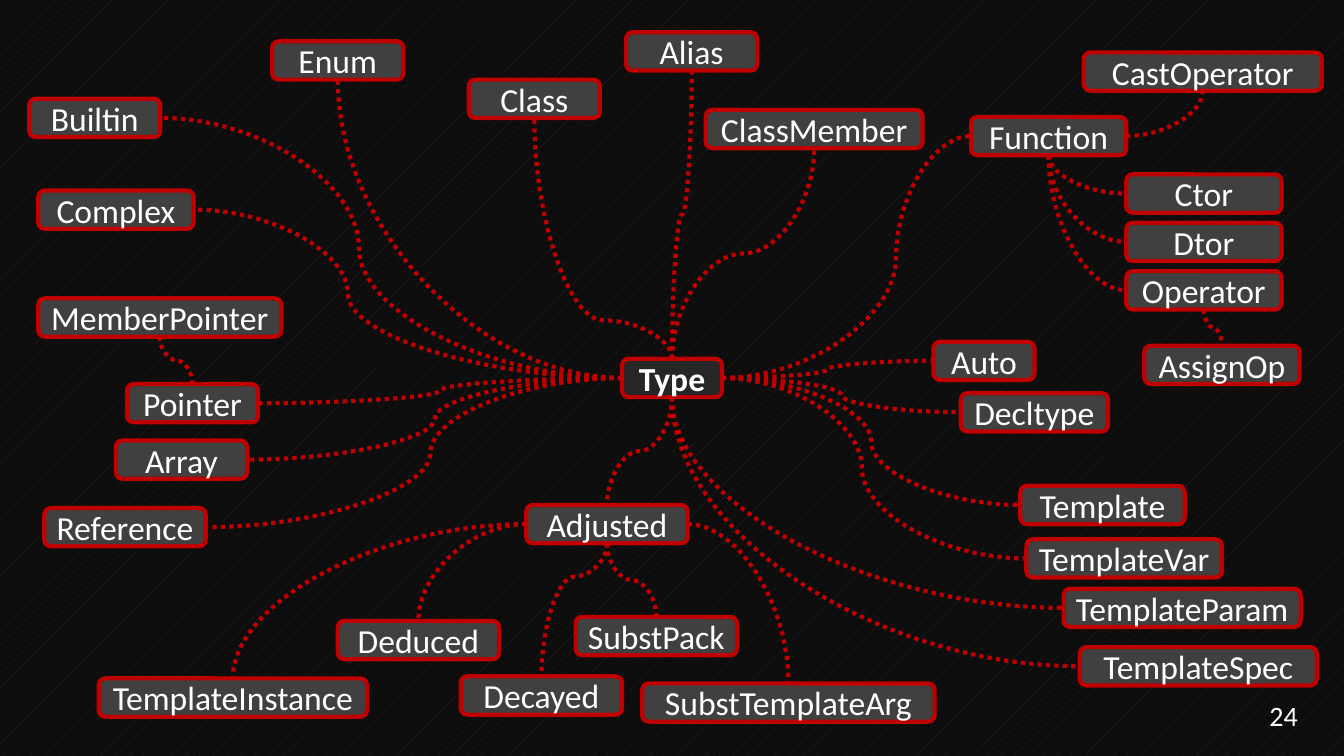
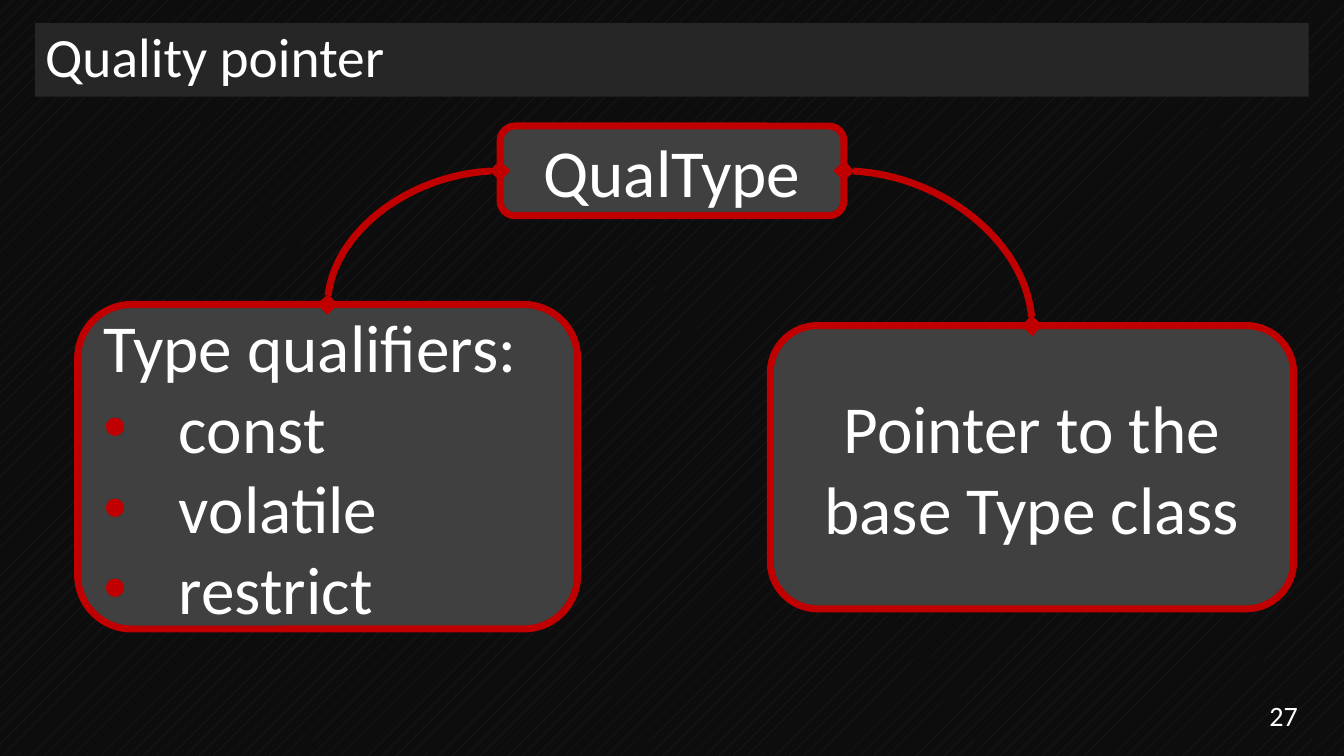
from dataclasses import dataclass

from lxml import etree
from pptx import Presentation
from pptx import util as u
from pptx.dml.color import RGBColor
from pptx.enum import dml, shapes, text
from pptx.oxml import ns


@dataclass(frozen=True)
class Theme:
    font: str = "Calibri"
    white: str = "FFFFFF"
    red: str = "C00000"
    dark: str = "262626"
    gray: str = "404040"
    black: str = "0D0D0D"
    title_size: float = 39.6
    number_size: float = 20
    node_size: float = 24
    card_size: float = 48
    node_line: float = 3
    card_line: float = 5


@dataclass(frozen=True)
class Box:
    left: float
    top: float
    width: float
    height: float

    def inner(self, left, top, width, height):
        """A box given relative to this one."""
        return Box(self.left + left, self.top + top, width, height)

    def lengths(self):
        return [u.Inches(n) for n in (self.left, self.top, self.width, self.height)]


THEME = Theme()
SLIDE = Box(0, 0, 13.33, 7.5)
LEFT, CENTER, RIGHT = (text.PP_ALIGN.LEFT, text.PP_ALIGN.CENTER,
                       text.PP_ALIGN.RIGHT)

# Connection sites of a rectangle; the odd ones face sideways
TOP, WEST, BOTTOM, EAST = range(4)

# Type map: name -> left, top, width
NODE_HEIGHT = 0.38
NODES = {
    "Type": (6.17, 3.56, 0.99),
    "Builtin": (0.29, 0.98, 1.3),
    "Complex": (0.38, 1.89, 1.54),
    "Pointer": (1.26, 3.81, 1.3),
    "MemberPointer": (0.38, 2.96, 2.41),
    "Array": (1.15, 4.37, 1.3),
    "Adjusted": (5.22, 5.01, 1.6),
    "TemplateInstance": (0.98, 6.73, 2.66),
    "Deduced": (3.35, 6.16, 1.6),
    "Decayed": (4.57, 6.71, 1.6),
    "SubstPack": (5.71, 6.12, 1.6),
    "SubstTemplateArg": (6.37, 6.78, 2.9),
    "Enum": (2.7, 0.41, 1.3),
    "Class": (4.65, 0.79, 1.3),
    "Alias": (6.21, 0.32, 1.3),
    "ClassMember": (7, 1.09, 2.15),
    "Function": (9.63, 1.16, 1.54),
    "Ctor": (11.17, 1.73, 1.54),
    "Dtor": (11.17, 2.21, 1.54),
    "Operator": (11.17, 2.69, 1.54),
    "AssignOp": (11.35, 3.43, 1.54),
    "CastOperator": (10.75, 0.52, 2.36),
    "Auto": (9.26, 3.39, 1),
    "Decltype": (9.53, 3.9, 1.46),
    "Template": (10.12, 4.82, 1.63),
    "TemplateVar": (10.18, 5.35, 1.94),
    "TemplateSpec": (10.71, 6.42, 2.35),
    "TemplateParam": (10.55, 5.84, 2.35),
    "Reference": (0.44, 5.04, 1.6),
}

# Parent, its side, side of the children, children with the place of the bend
LINKS = [
    ("Type", WEST, EAST, {"Builtin": 0.57, "Complex": 0.64, "Pointer": 0.5,
                          "Array": 0.5, "Reference": 0.46}),
    ("Type", WEST, BOTTOM, {"Enum": 0.5}),
    ("Type", TOP, BOTTOM, {"Class": 0.16, "Alias": 0.5, "ClassMember": 0.5}),
    ("Type", EAST, WEST, {"Function": 0.7, "Auto": 0.5, "Decltype": 0.5,
                          "Template": 0.5, "TemplateVar": 0.46}),
    ("Type", BOTTOM, TOP, {"Adjusted": 0.5}),
    ("Type", BOTTOM, WEST, {"TemplateSpec": 0.5, "TemplateParam": 0.5}),
    ("MemberPointer", BOTTOM, TOP, {"Pointer": 0.5}),
    ("Adjusted", WEST, TOP, {"TemplateInstance": 0.5, "Deduced": 0.5}),
    ("Adjusted", BOTTOM, TOP, {"Decayed": 0.25, "SubstPack": 0.5}),
    ("Adjusted", EAST, TOP, {"SubstTemplateArg": 0.5}),
    ("Function", BOTTOM, WEST, {"Ctor": 0.5, "Dtor": 0.5, "Operator": 0.5}),
    ("Function", EAST, BOTTOM, {"CastOperator": 0.5}),
    ("Operator", BOTTOM, TOP, {"AssignOp": 0.5}),
]


def color(value):
    return RGBColor.from_string(value)


def write(para, words, size, align=LEFT, bold=False):
    para.alignment = align
    span = para.add_run()
    span.text = words
    font = span.font
    font.name, font.size, font.bold = THEME.font, u.Pt(size), bold
    font.color.rgb = color(THEME.white)


def add_bullet(para, indent):
    props = para._p.get_or_add_pPr()
    props.set("marL", str(u.Inches(indent)))
    props.set("indent", str(-u.Inches(indent)))
    tint = etree.SubElement(props, ns.qn("a:buClr"))
    etree.SubElement(tint, ns.qn("a:srgbClr"), val=THEME.red)
    etree.SubElement(props, ns.qn("a:buFont"), typeface="Arial")
    etree.SubElement(props, ns.qn("a:buChar"), char="•")


def add_panel(page, box, kind, fill, line=None, wrap=True):
    """A filled shape, ready for text in its middle."""
    panel = page.shapes.add_shape(kind, *box.lengths())
    panel.shadow.inherit = False
    panel.fill.solid()
    panel.fill.fore_color.rgb = color(fill)
    if line:
        panel.line.color.rgb = color(THEME.red)
        panel.line.width = u.Pt(line)
    else:
        panel.line.fill.background()
    panel.text_frame.word_wrap = wrap
    panel.text_frame.vertical_anchor = text.MSO_ANCHOR.MIDDLE
    return panel


def add_card(page, box, line, fill=THEME.gray, wrap=True):
    kind = shapes.MSO_SHAPE.ROUNDED_RECTANGLE
    return add_panel(page, box, kind, fill, line, wrap)


def site_point(shape, site):
    across = {WEST: 0, EAST: 1}.get(site, 0.5)
    down = {TOP: 0, BOTTOM: 1}.get(site, 0.5)
    return shape.left + shape.width * across, shape.top + shape.height * down


def add_curve(page, start, start_site, end, end_site, width, bend=0.5):
    """A curved connector glued to two shapes."""
    curve = page.shapes.add_connector(shapes.MSO_CONNECTOR.CURVE, 0, 0, 0, 0)
    curve.begin_connect(start, start_site)
    curve.end_connect(end, end_site)
    x1, y1 = site_point(start, start_site)
    x2, y2 = site_point(end, end_site)
    props = curve._element.spPr

    # A curve that leaves upright is a sideways one turned by 90 degrees
    if start_site in (TOP, BOTTOM):
        mid_x, mid_y = (x1 + x2) / 2, (y1 + y2) / 2
        half_x, half_y = (x2 - x1) / 2, (y2 - y1) / 2
        x1, x2 = mid_x - half_y, mid_x + half_y
        y1, y2 = mid_y + half_x, mid_y - half_x
        props.find(ns.qn("a:xfrm")).set("rot", "5400000")
    curve.begin_x, curve.begin_y = round(x1), round(y1)
    curve.end_x, curve.end_y = round(x2), round(y2)

    # One bend between crossing sides, two between parallel ones
    outline = props.find(ns.qn("a:prstGeom"))
    if start_site % 2 != end_site % 2:
        outline.set("prst", "curvedConnector2")
    else:
        etree.SubElement(outline.find(ns.qn("a:avLst")), ns.qn("a:gd"),
                         name="adj1", fmla=f"val {round(bend * 100000)}")

    curve.line.color.rgb = color(THEME.red)
    curve.line.width = u.Pt(width)
    etree.SubElement(props, ns.qn("a:effectLst"))
    return curve


def add_diamonds(curve):
    line = curve.line._get_or_add_ln()
    for end in ("a:headEnd", "a:tailEnd"):
        etree.SubElement(line, ns.qn(end), type="diamond")


def add_page(deck, number):
    """A blank page with its number."""
    page = deck.slides.add_slide(deck.slide_layouts[6])
    box = SLIDE.inner(11.84, 6.9, 1.13, 0.4)
    frame = page.shapes.add_textbox(*box.lengths()).text_frame
    frame.word_wrap = True
    frame.vertical_anchor = text.MSO_ANCHOR.MIDDLE
    write(frame.paragraphs[0], str(number), THEME.number_size, RIGHT)
    return page


def add_title(page, box, words):
    band = add_panel(page, box, shapes.MSO_SHAPE.RECTANGLE, THEME.dark)
    para = band.text_frame.paragraphs[0]
    para.line_spacing = 0.9
    write(para, words, THEME.title_size)


def add_type_map(page, area):
    # Nodes
    nodes = {}
    for name, (left, top, width) in NODES.items():
        root = name == "Type"
        box = area.inner(left, top, width, NODE_HEIGHT)
        node = add_card(page, box, THEME.node_line,
                        THEME.dark if root else THEME.gray, wrap=False)
        write(node.text_frame.paragraphs[0], name, THEME.node_size, CENTER, root)
        nodes[name] = node

    # Dotted links
    for parent, parent_site, child_site, children in LINKS:
        for child, bend in children.items():
            curve = add_curve(page, nodes[parent], parent_site, nodes[child],
                              child_site, THEME.node_line, bend)
            curve.line.dash_style = dml.MSO_LINE.ROUND_DOT


def add_qual_type(page, area):
    # Head
    head = add_card(page, area.inner(4.19, 0, 3.41, 0.89), THEME.card_line)
    write(head.text_frame.paragraphs[0], "QualType", THEME.card_size, CENTER)

    # Qualifier list
    qualifiers = add_card(page, area.inner(0, 1.77, 4.96, 3.22), THEME.card_line)
    frame = qualifiers.text_frame
    write(frame.paragraphs[0], "Type qualifiers:", THEME.card_size)
    for word in ("const", "volatile", "restrict"):
        para = frame.add_paragraph()
        add_bullet(para, 0.75)
        write(para, word, THEME.card_size)

    # Pointer
    pointer = add_card(page, area.inner(6.87, 1.98, 5.19, 2.81), THEME.card_line)
    write(pointer.text_frame.paragraphs[0], "Pointer to the base Type class",
          THEME.card_size, CENTER)

    # Links
    for site, card in ((WEST, qualifiers), (EAST, pointer)):
        add_diamonds(add_curve(page, head, site, card, TOP, THEME.card_line))


def main():
    deck = Presentation()
    deck.slide_width = u.Inches(SLIDE.width)
    deck.slide_height = u.Inches(SLIDE.height)

    # Shared background
    backdrop = deck.slide_master.background.fill
    backdrop.patterned()
    backdrop.pattern = dml.MSO_PATTERN.PERCENT_5
    backdrop.fore_color.rgb = color(THEME.dark)
    backdrop.back_color.rgb = color(THEME.black)

    add_type_map(add_page(deck, 24), SLIDE)

    page = add_page(deck, 27)
    add_title(page, SLIDE.inner(0.35, 0.23, 12.63, 0.73), "Quality pointer")
    add_qual_type(page, SLIDE.inner(0.77, 1.25, 12.06, 4.99))

    deck.save("out.pptx")


if __name__ == "__main__":
    main()
